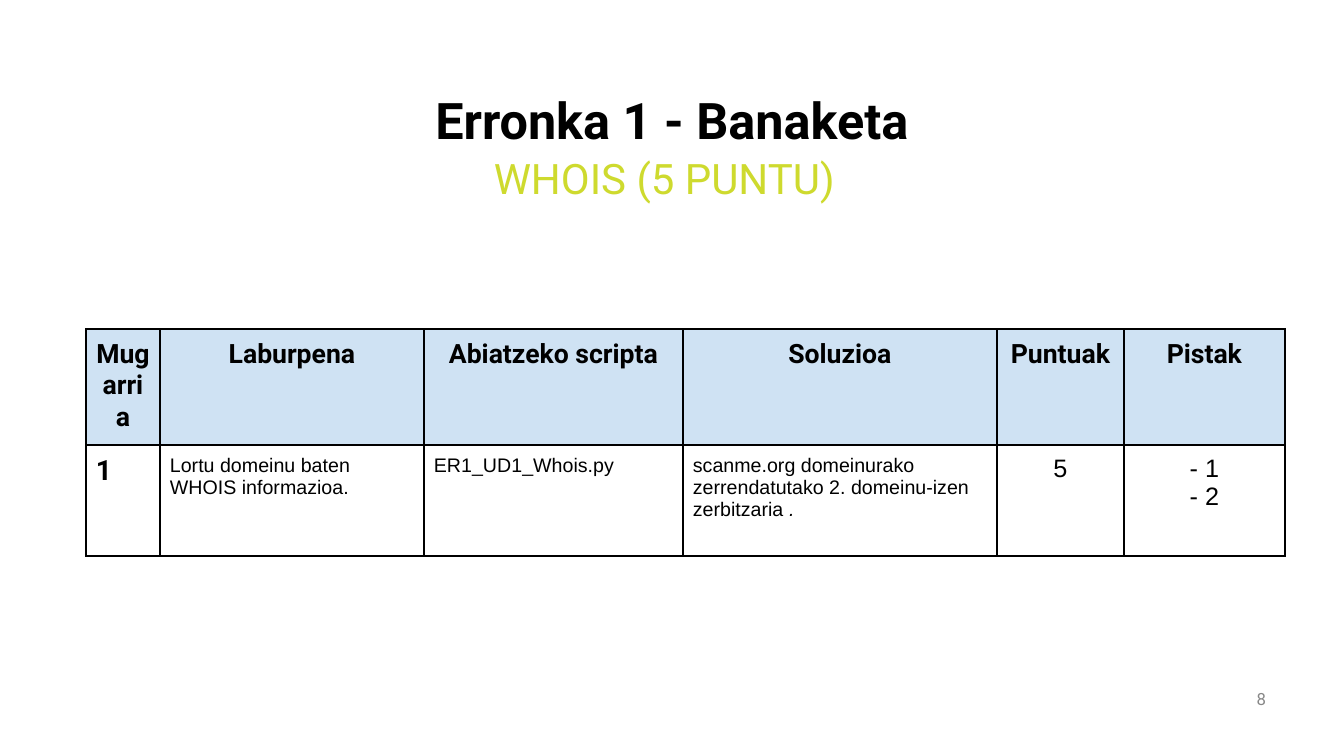
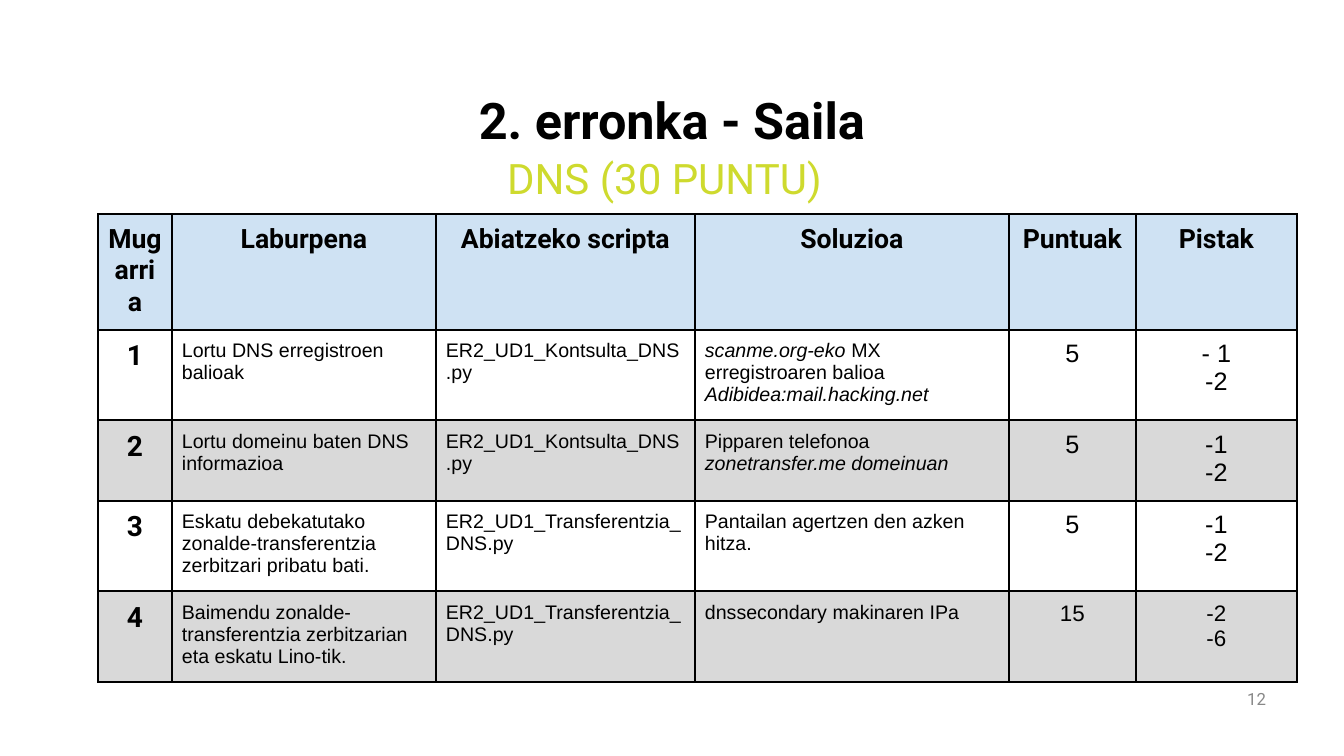
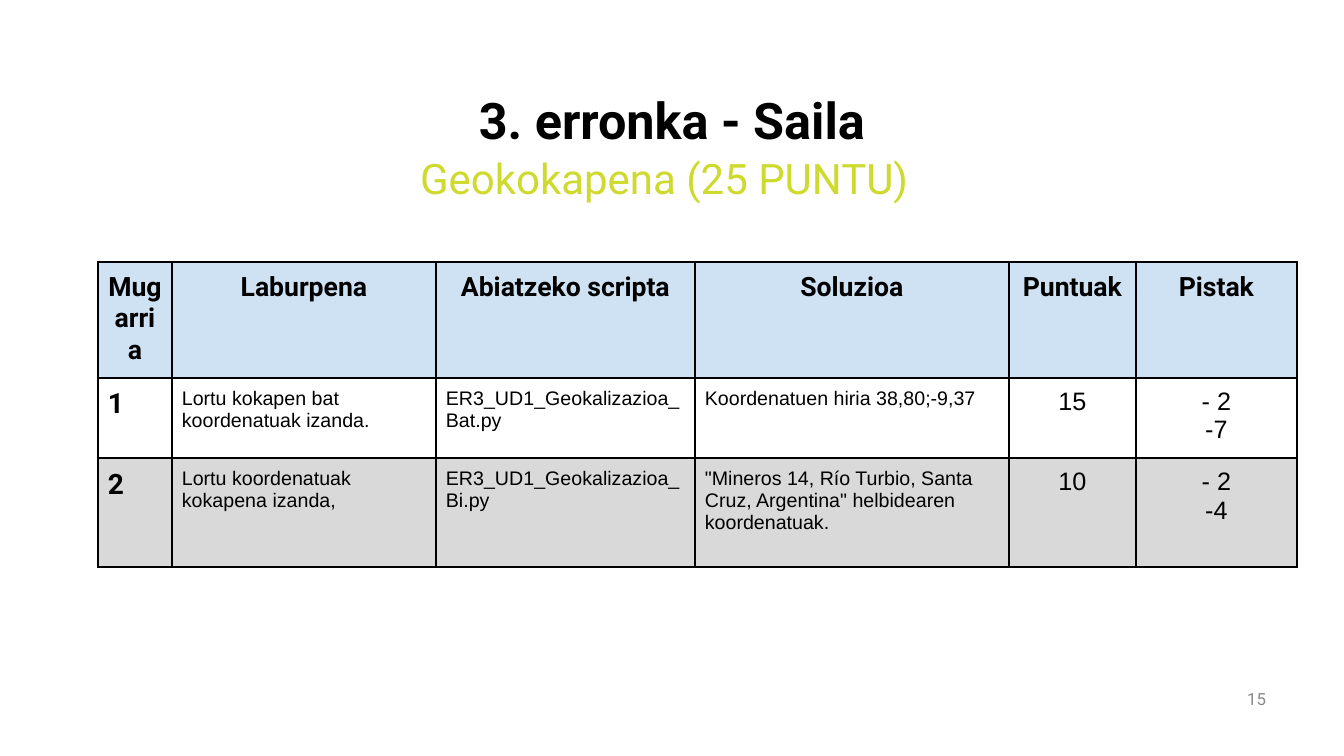
from pptx import Presentation
from pptx import util as u
from pptx.dml.color import RGBColor
from pptx.enum import text
from pptx.oxml.ns import qn
from lxml import etree

# Shared look
PX = 9144000 / 1008
BLACK = RGBColor(0x00, 0x00, 0x00)
LIME = RGBColor(0xCE, 0xDA, 0x2E)
GREY = RGBColor(0x88, 0x88, 0x88)
HEADER_BLUE = RGBColor(0xCF, 0xE2, 0xF3)
BAND_GREY = RGBColor(0xD9, 0xD9, 0xD9)
HEADING_FONT, BODY_FONT = "Roboto", "Arial"
LEFT, CENTER, RIGHT = text.PP_ALIGN.LEFT, text.PP_ALIGN.CENTER, text.PP_ALIGN.RIGHT

HEADINGS = ["Mugarria", "Laburpena", "Abiatzeko scripta", "Soluzioa", "Puntuak", "Pistak"]
COLUMNS = [74, 264, 259, 314, 127, 161]
HEADER_HEIGHT = 114
CELL_MARGIN = 10

# Rows: height, summary, script, solution, points, hints, size of the points.
# Asterisks enclose italics and line feeds part paragraphs.
CHALLENGES = [
    dict(title="Erronka 1 - Banaketa", subtitle="WHOIS (5 PUNTU)", page="8",
         corner=(86, 329), number_align=LEFT, rows=[
             (111, "Lortu domeinu baten WHOIS informazioa.", "ER1_UD1_Whois.py",
              "scanme.org domeinurako zerrendatutako 2. domeinu-izen zerbitzaria *.*",
              "5", "- 1\n- 2", 18),
         ]),
    dict(title="2. erronka - Saila", subtitle="DNS (30 PUNTU)", page="12",
         corner=(98, 214), number_align=CENTER, rows=[
             (86, "Lortu DNS erregistroen balioak", "ER2_UD1_Kontsulta_DNS.py",
              "*scanme.org-eko *MX erregistroaren balioa\n*Adibidea:mail.hacking.net*",
              "5", "- 1\n-2", 18),
             (77, "Lortu domeinu baten DNS informazioa", "ER2_UD1_Kontsulta_DNS.py",
              "Pipparen telefonoa *zonetransfer.me domeinuan*", "5", "-1\n-2", 18),
             (86, "Eskatu debekatutako zonalde-transferentzia zerbitzari pribatu bati.",
              "ER2_UD1_Transferentzia_DNS.py", "Pantailan agertzen den azken hitza.",
              "5", "-1\n-2", 18),
             (86, "Baimendu zonalde-transferentzia zerbitzarian eta eskatu Lino-tik.",
              "ER2_UD1_Transferentzia_DNS.py", "dnssecondary makinaren IPa",
              "15", "-2\n-6", 16),
         ]),
    dict(title="3. erronka - Saila", subtitle="Geokokapena (25 PUNTU)", page="15",
         corner=(98, 262), number_align=LEFT, rows=[
             (76, "Lortu kokapen bat koordenatuak izanda.", "ER3_UD1_Geokalizazioa_Bat.py",
              "Koordenatuen hiria 38,80;-9,37", "15", "- 2\n-7", 18),
             (109, "Lortu koordenatuak kokapena izanda,", "ER3_UD1_Geokalizazioa_Bi.py",
              '"Mineros 14, Río Turbio, Santa Cruz, Argentina" helbidearen koordenatuak.',
              "10", "- 2\n-4", 18),
         ]),
]


def px(length):
    return u.Emu(round(length * PX))


def write(frame, content, size=14, font=BODY_FONT, color=BLACK, bold=False,
          align=LEFT, before=0):
    frame.word_wrap = True
    for index, line in enumerate(content.split("\n")):
        paragraph = frame.add_paragraph() if index else frame.paragraphs[0]
        paragraph.alignment = align
        paragraph.space_before = u.Pt(before)
        for part, words in enumerate(line.split("*")):
            if words:
                run = paragraph.add_run()
                run.text = words
                run.font.size, run.font.name = u.Pt(size), font
                run.font.bold, run.font.italic = bold, part % 2 == 1
                run.font.color.rgb = color


def add_label(slide, box, content, anchor=text.MSO_ANCHOR.MIDDLE, **style):
    frame = slide.shapes.add_textbox(*map(px, box)).text_frame
    frame.vertical_anchor = anchor
    write(frame, content, font=HEADING_FONT, **style)


def add_borders(cell):
    properties = cell._tc.get_or_add_tcPr()
    for side in ("a:lnL", "a:lnR", "a:lnT", "a:lnB"):
        line = etree.SubElement(properties, qn(side), w=str(u.Pt(1.5)))
        fill = etree.SubElement(line, qn("a:solidFill"))
        etree.SubElement(fill, qn("a:srgbClr"), val=str(BLACK))


def fill_cell(cell, content, fill, **style):
    cell.margin_left = cell.margin_right = px(CELL_MARGIN)
    cell.margin_top = cell.margin_bottom = px(CELL_MARGIN)
    add_borders(cell)
    if fill is None:
        cell.fill.background()
    else:
        cell.fill.solid()
        cell.fill.fore_color.rgb = fill
    write(cell.text_frame, content, **style)


def add_milestones(slide, corner, rows, number_align):
    heights = [HEADER_HEIGHT] + [row[0] for row in rows]
    box = (*corner, sum(COLUMNS), sum(heights))
    table = slide.shapes.add_table(len(heights), len(COLUMNS), *map(px, box)).table
    table.first_row = table.horz_banding = False
    for column, width in zip(table.columns, COLUMNS):
        column.width = px(width)
    for table_row, height in zip(table.rows, heights):
        table_row.height = px(height)

    # Heading row
    for column, heading in enumerate(HEADINGS):
        fill_cell(table.cell(0, column), heading, HEADER_BLUE, size=19,
                  font=HEADING_FONT, bold=True, align=CENTER)

    # One row for each milestone, every second one shaded
    for number, (_, *details, points, hints, points_size) in enumerate(rows, 1):
        fill = None if number % 2 else BAND_GREY
        fill_cell(table.cell(number, 0), str(number), fill, size=20,
                  font=HEADING_FONT, bold=True, align=number_align)
        for column, detail in enumerate(details, 1):
            fill_cell(table.cell(number, column), detail, fill)
        for column, score in enumerate((points, hints), 4):
            fill_cell(table.cell(number, column), score, fill, size=points_size, align=CENTER)


def add_challenge(deck, title, subtitle, page, corner, rows, number_align):
    slide = deck.slides.add_slide(deck.slide_layouts[6])
    add_label(slide, (67, 88, 1210, 63), title, size=36, bold=True, align=CENTER)
    add_label(slide, (963, 679, 313, 40), page, size=12, color=GREY, align=RIGHT)
    add_label(slide, (61, 148, 1207, 47), subtitle, anchor=text.MSO_ANCHOR.TOP,
              size=30, color=LIME, align=CENTER, before=3)
    add_milestones(slide, corner, rows, number_align)


def main():
    deck = Presentation()
    deck.slide_width, deck.slide_height = px(1344), px(756)
    for challenge in CHALLENGES:
        add_challenge(deck, **challenge)
    deck.save("out.pptx")


if __name__ == "__main__":
    main()
